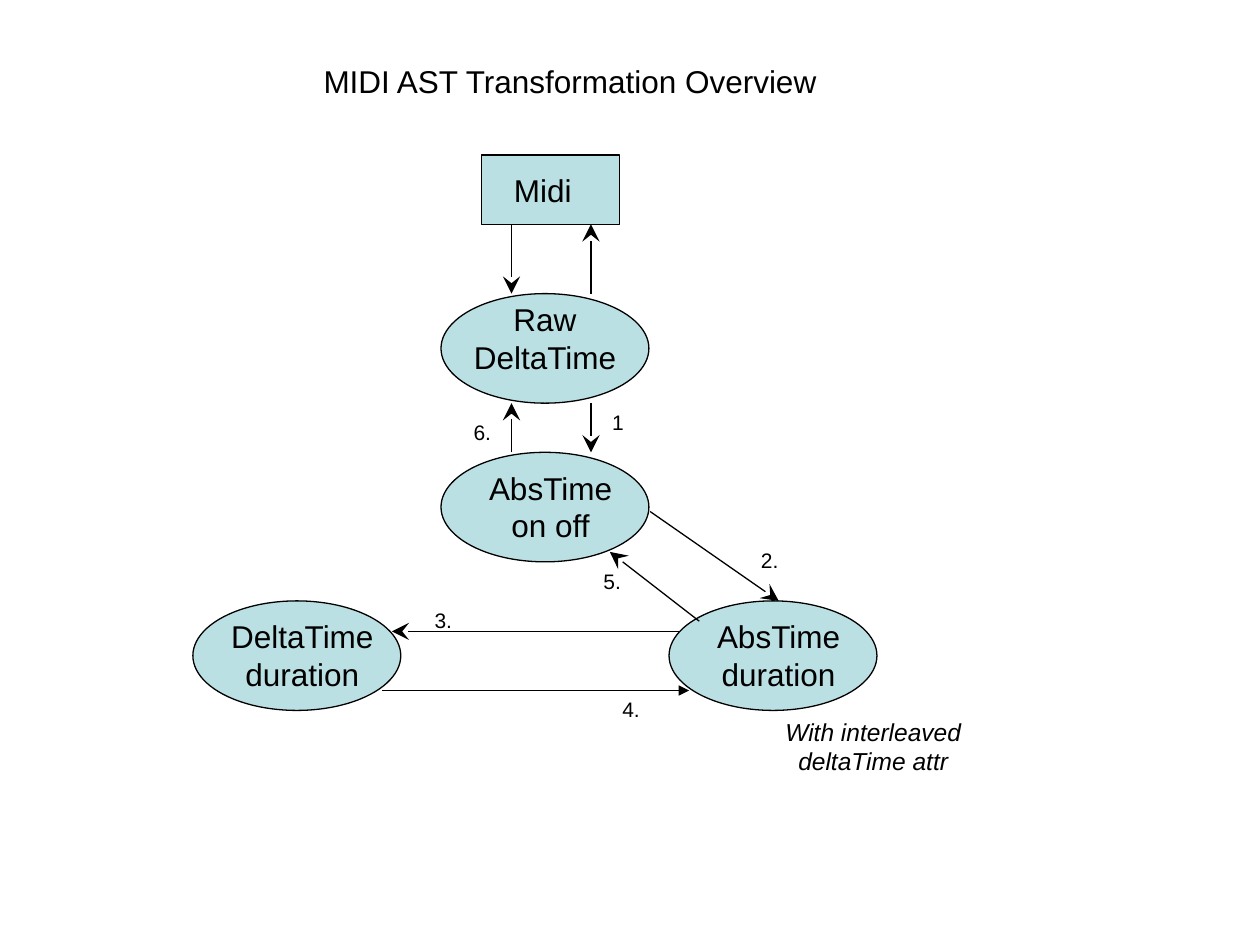
"""Builds the MIDI AST transformation overview slide."""
from pptx import Presentation
from pptx.dml.color import RGBColor
from pptx.enum.shapes import MSO_CONNECTOR, MSO_SHAPE
from pptx.enum.text import PP_ALIGN
from pptx.oxml.ns import qn
from pptx.util import Pt
from lxml.etree import SubElement

BLACK = RGBColor(0x00, 0x00, 0x00)
PALE_TEAL = RGBColor(0xBB, 0xE0, 0xE3)
FONT = "Arial"
LINE_WIDTH = 0.75
OVAL_SIZE = (118.8, 62.6)
OVAL_TEXT_INSET = (11.5, 5.8)
OVAL_TEXT_SIZE = (102.2, 50.4)
STEP_SIZE = (39.6, 21.6)
LEFT_LANE, RIGHT_LANE = 292.3, 337.7

TITLE = ("MIDI AST Transformation Overview", 87.8, 31.7, 475.9, 28.8)
MIDI_BOX = (275, 88.6, 79.2, 39.6)
MIDI_TEXT = ("Midi", 286.6, 94.3, 56.9, 28.8)
RAW_OVAL = (252, 167.8)
RAW_TEXT = ("Raw DeltaTime", *RAW_OVAL, 118.8, 50.4)
STATES = [
    ("AbsTime on off", 252, 258.5),
    ("AbsTime duration", 382.3, 343.4),
    ("DeltaTime duration", 110.2, 343.4),
]
ARROWS = [
    ((388, 360.8), (223.9, 360.8), "stealth"),
    ((218.2, 394.6), (393.8, 394.6), "triangle"),
    ((399.6, 355), (348.5, 315.4), "stealth"),
    ((371.5, 292.3), (445, 343.4), "stealth"),
    ((LEFT_LANE, 258.5), (LEFT_LANE, 230.4), "stealth"),
    ((RIGHT_LANE, 230.4), (RIGHT_LANE, 258.5), "stealth"),
    ((LEFT_LANE, 128.2), (LEFT_LANE, 167.8), "stealth"),
    ((RIGHT_LANE, 167.8), (RIGHT_LANE, 128.2), "stealth"),
]
STEPS = [
    ("1", 342.7, 230.4),
    ("6.", 263.5, 236.2),
    ("2.", 427.7, 309.6),
    ("5.", 337.7, 321.1),
    ("3.", 241.2, 343.4),
    ("4.", 348.5, 394.6),
]
NOTE = ("With interleaved deltaTime attr", 416.9, 406.1, 164.2, 41)


def add_node(slide, kind, left, top, width, height):
    shape = slide.shapes.add_shape(kind, Pt(left), Pt(top), Pt(width), Pt(height))
    shape.shadow.inherit = False
    shape.fill.solid()
    shape.fill.fore_color.rgb = PALE_TEAL
    shape.line.color.rgb = BLACK
    shape.line.width = Pt(LINE_WIDTH)


def add_text(slide, text, left, top, width, height, size=18,
             align=PP_ALIGN.CENTER, italic=False):
    box = slide.shapes.add_textbox(Pt(left), Pt(top), Pt(width), Pt(height))
    text_frame = box.text_frame
    text_frame.word_wrap = True
    text_frame.text = text
    paragraph = text_frame.paragraphs[0]
    paragraph.alignment = align
    font = paragraph.runs[0].font
    font.name = FONT
    font.size = Pt(size)
    font.italic = italic
    font.color.rgb = BLACK


def add_arrow(slide, start, end, head):
    connector = slide.shapes.add_connector(
        MSO_CONNECTOR.STRAIGHT, *map(Pt, start), *map(Pt, end))
    connector.line.color.rgb = BLACK
    connector.line.width = Pt(LINE_WIDTH)
    head_size = "lg" if head == "stealth" else "med"
    SubElement(connector.line._get_or_add_ln(), qn("a:tailEnd"),
               type=head, w=head_size, len=head_size)
    SubElement(connector._element.spPr, qn("a:effectLst"))


def main():
    presentation = Presentation()
    presentation.slide_width, presentation.slide_height = Pt(720), Pt(540)
    slide = presentation.slides.add_slide(presentation.slide_layouts[6])

    add_node(slide, MSO_SHAPE.OVAL, *RAW_OVAL, *OVAL_SIZE)
    add_node(slide, MSO_SHAPE.RECTANGLE, *MIDI_BOX)
    add_text(slide, *MIDI_TEXT, align=PP_ALIGN.LEFT)
    add_text(slide, *RAW_TEXT)
    inset_x, inset_y = OVAL_TEXT_INSET
    for text, left, top in STATES:
        add_node(slide, MSO_SHAPE.OVAL, left, top, *OVAL_SIZE)
        add_text(slide, text, left + inset_x, top + inset_y, *OVAL_TEXT_SIZE)
    for start, end, head in ARROWS:
        add_arrow(slide, start, end, head)
    for text, left, top in STEPS:
        add_text(slide, text, left, top, *STEP_SIZE, size=12, align=PP_ALIGN.LEFT)
    add_text(slide, *TITLE)
    add_text(slide, *NOTE, size=14, italic=True)

    presentation.save("out.pptx")


if __name__ == "__main__":
    main()
